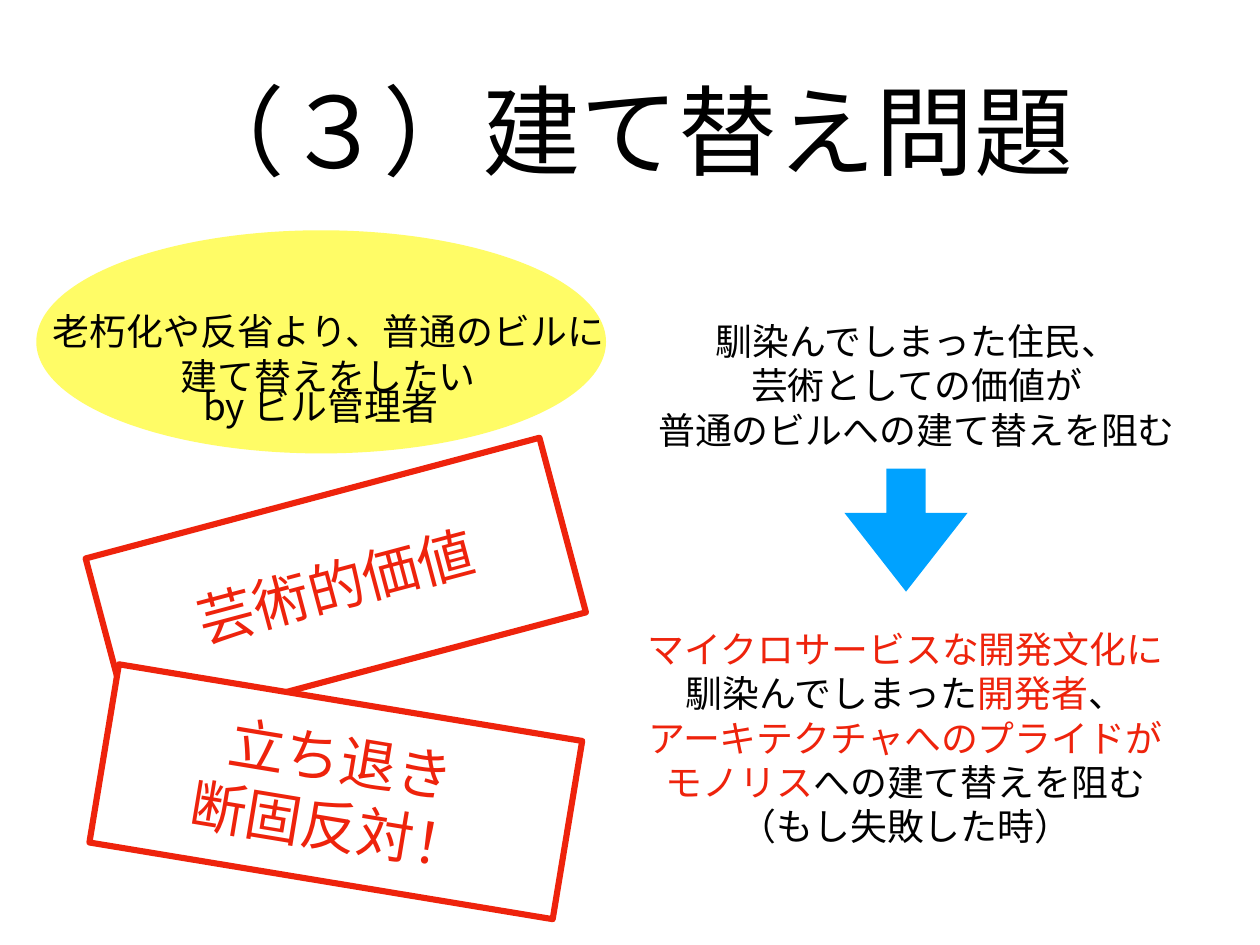
from dataclasses import dataclass
from typing import Optional

from lxml.etree import SubElement
from pptx import Presentation
from pptx.dml.color import RGBColor
from pptx.enum.shapes import MSO_SHAPE as Kind
from pptx.enum.text import MSO_ANCHOR as Anchor, MSO_AUTO_SIZE as Fit, PP_ALIGN as Align
from pptx.oxml.ns import qn
from pptx.util import Pt

PX = 9144  # EMU per px, 100 px to the inch


@dataclass(frozen=True)
class Theme:
    font: str = "Noto Sans CJK JP"
    ink: str = "000000"
    red: str = "EE230C"
    white: str = "FFFFFF"
    blue: str = "00A2FF"
    yellow: str = "FFFC66"
    title: int = 80
    sign: int = 46
    body: int = 30
    lead: float = 1.2
    border: int = 5


T = Theme()
Box = tuple[int, int, int, int]
Run = tuple[str, str]
Line = list[Run]


@dataclass(frozen=True)
class Form:
    kind: Kind
    box: Box
    fill: str
    turn: float = 0
    edge: Optional[str] = None
    adjust: tuple[float, ...] = ()
    lines: tuple[str, ...] = ()


@dataclass(frozen=True)
class Note:
    box: Box
    lines: list[Line]


def plain(color: str, *texts: str) -> list[Line]:
    """Lines of one run each, all in one colour."""
    return [[(text, color)] for text in texts]


SIGNS = [
    Form(Kind.RECTANGLE, (114, 559, 530, 204), T.white, 345.1, T.red,
         lines=("芸術的価値",)),
    Form(Kind.RECTANGLE, (114, 792, 530, 204), T.white, 9.4, T.red,
         lines=("立ち退き", "断固反対！")),
]
REASONS = [
    Note((731, 315, 607, 240), plain(
        T.ink, "馴染んでしまった住民、", "芸術としての価値が",
        "普通のビルへの建て替えを阻む")),
    Note((718, 681, 608, 303), [
        [("マイクロサービスな開発文化に", T.red)],
        [("馴染んでしまった", T.ink), ("開発者", T.red), ("、", T.ink)],
        [("アーキテクチャへのプライドが", T.red)],
        [("モノリス", T.red), ("への建て替えを阻む", T.ink)],
        [("（もし失敗した時）", T.ink)],
    ]),
]
MARKS = [
    Form(Kind.RIGHT_ARROW, (953, 529, 139, 139), T.blue, 90, adjust=(0.32, 0.64)),
    Form(Kind.OVAL, (41, 260, 643, 252), T.yellow),
]
WISH = [
    Note((45, 310, 651, 178), plain(
        T.ink, "老朽化や反省より、普通のビルに", "建て替えをしたい")),
    Note((217, 432, 290, 53), plain(T.ink, "by ビル管理者")),
]


def place(box: Box) -> list[int]:
    return [n * PX for n in box]


def write(frame, lines: list[Line], size: int, wrap: bool = True) -> None:
    look = dict(margin_left=6 * PX, margin_right=6 * PX, margin_top=6 * PX,
                margin_bottom=6 * PX, vertical_anchor=Anchor.MIDDLE,
                auto_size=Fit.NONE, word_wrap=wrap)
    for name, value in look.items():
        setattr(frame, name, value)
    for i, line in enumerate(lines):
        para = frame.paragraphs[0] if i == 0 else frame.add_paragraph()
        para.alignment = Align.CENTER
        para.line_spacing = Pt(round(size * T.lead))
        for text, color in line:
            run = para.add_run()
            run.text = text
            run.font.size = Pt(size)
            run.font.color.rgb = RGBColor.from_string(color)
            run.font.name = T.font
            SubElement(run.font._element, qn("a:ea"), typeface=T.font)


def draw(slide, form: Form) -> None:
    shape = slide.shapes.add_shape(form.kind, *place(form.box))
    shape.shadow.inherit = False
    shape.rotation = form.turn
    for i, value in enumerate(form.adjust):
        shape.adjustments[i] = value
    shape.fill.solid()
    shape.fill.fore_color.rgb = RGBColor.from_string(form.fill)
    if form.edge:
        shape.line.color.rgb = RGBColor.from_string(form.edge)
        shape.line.width = Pt(T.border)
    else:
        shape.line.fill.background()
    if form.lines:
        write(shape.text_frame, plain(T.red, *form.lines), T.sign)


def jot(slide, note: Note) -> None:
    """Add a free text box."""
    box = slide.shapes.add_textbox(*place(note.box))
    write(box.text_frame, note.lines, T.body, wrap=False)


def main() -> None:
    deck = Presentation()
    deck.slide_width, deck.slide_height = 1422 * PX, 1067 * PX
    slide = deck.slides.add_slide(deck.slide_layouts[5])
    title = slide.shapes.title
    title.left, title.top, title.width, title.height = place((104, 28, 1214, 236))
    write(title.text_frame, plain(T.ink, "（３）建て替え問題"), T.title)
    for form in SIGNS:
        draw(slide, form)
    for note in REASONS:
        jot(slide, note)
    for form in MARKS:
        draw(slide, form)
    for note in WISH:
        jot(slide, note)
    deck.save("out.pptx")


if __name__ == "__main__":
    main()
